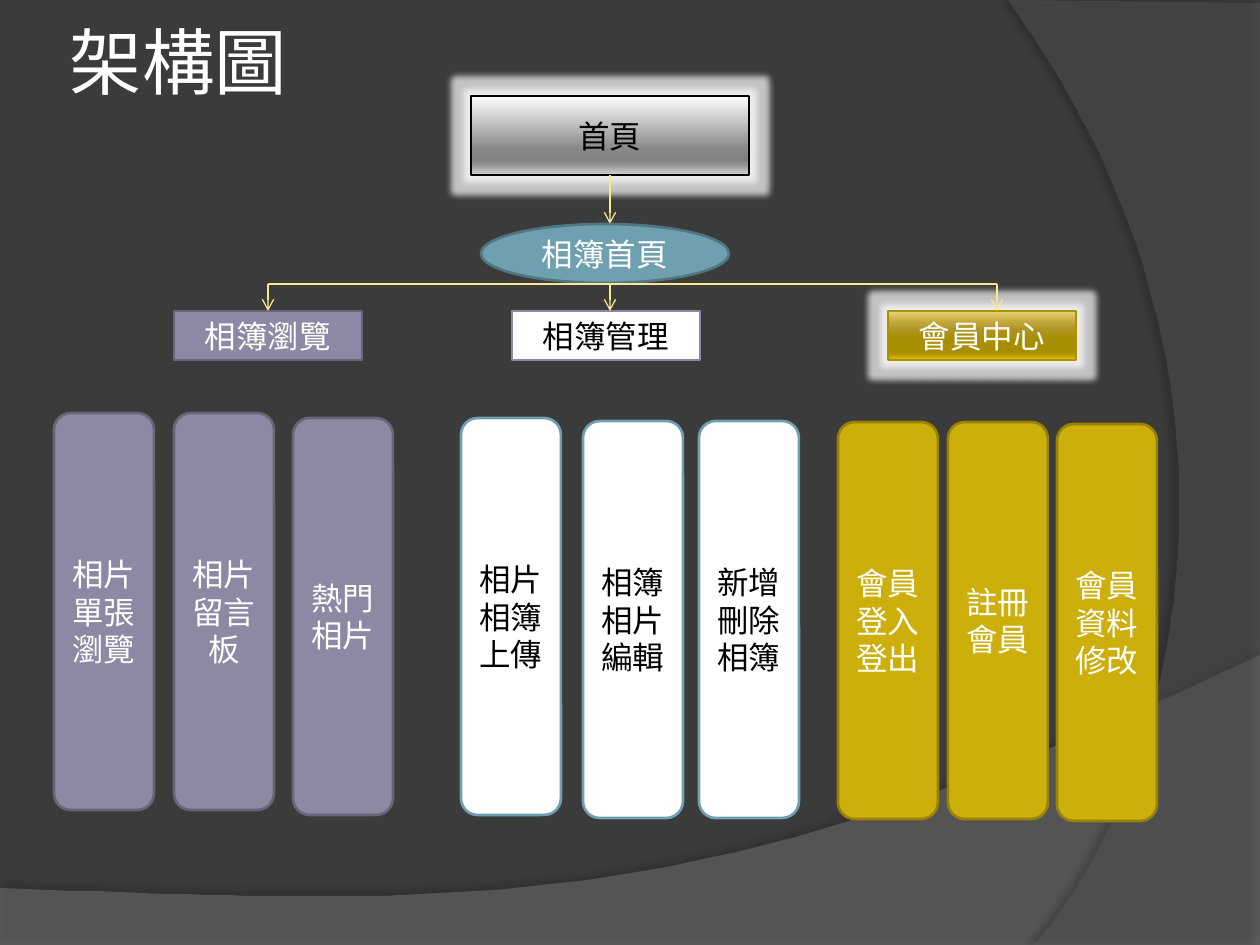
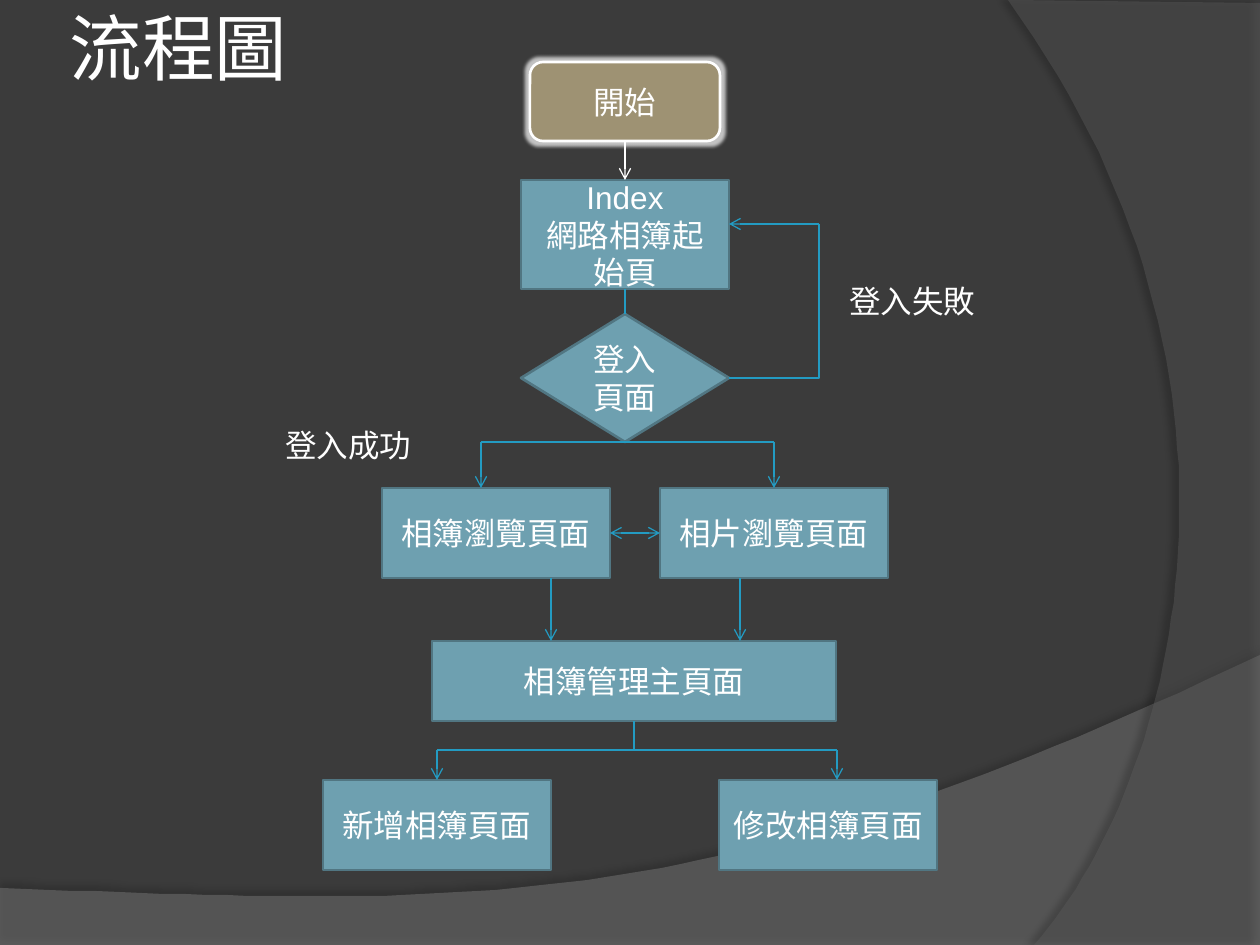
import pptx
import pptx.util
import pptx.dml.color
import pptx.enum.shapes
import pptx.enum.text
import pptx.oxml
import pptx.oxml.ns

RGB = pptx.dml.color.RGBColor
SHAPE = pptx.enum.shapes.MSO_SHAPE
CONNECTOR = pptx.enum.shapes.MSO_CONNECTOR
ALIGN = pptx.enum.text.PP_ALIGN
ANCHOR = pptx.enum.text.MSO_ANCHOR
qn = pptx.oxml.ns.qn
NS = pptx.oxml.ns.nsdecls("a")

PX = 914400 / 126  # EMU in one px

BACKGROUND = RGB(0x3B, 0x3B, 0x3B)
BAND = RGB(0x7F, 0x7F, 0x7F)
SIDE = RGB(0x5E, 0x5E, 0x5E)
WHITE = RGB(0xFF, 0xFF, 0xFF)
BLACK = RGB(0, 0, 0)
TEAL = RGB(0x6E, 0xA0, 0xB0)
TEAL_EDGE = RGB(0x51, 0x76, 0x82)
PURPLE = RGB(0x8D, 0x89, 0xA4)
PURPLE_EDGE = RGB(0x68, 0x65, 0x79)
GOLD = RGB(0xCC, 0xAF, 0x0A)
GOLD_EDGE = RGB(0x97, 0x81, 0x07)
GOLD_RIM = RGB(0xAB, 0x92, 0x00)
TAN = RGB(0x9E, 0x92, 0x73)
YELLOW = RGB(0xF9, 0xE9, 0x8E)
BLUE = RGB(0x23, 0x9B, 0xC2)

# Gradient stops: percent and colour
SILVER = [(0, "FEFEFE"), (68, "878787"), (81, "818181"), (86, "909090"),
          (100, "D3D3D3")]
GOLD_SHEEN = [(0, "EED27E"), (25, "BFA536"), (38, "AF9527"), (55, "A88F00"),
              (80, "A68D00"), (88, "AF9500"), (100, "E6C100")]


def add_text(s, text, box, kind=None, fill=None, edge=None, edge_pt=1.5,
             glow=0, color=WHITE, font="Arial", size=18):
    """Add text in a shape, in a text box (no kind) or in the title."""
    x, y, w, h = [round(v * PX) for v in box]
    if kind == "title":
        sp = s.shapes.title
        sp.left, sp.top, sp.width, sp.height = x, y, w, h
    elif kind is None:
        sp = s.shapes.add_textbox(x, y, w, h)
    else:
        sp = s.shapes.add_shape(kind, x, y, w, h)
        if isinstance(fill, list):
            sp.fill.gradient()
            sp.fill.gradient_angle = 270
            stops = sp.element.spPr.find(".//" + qn("a:gsLst"))
            stops.clear()
            for percent, tone in fill:
                stops.append(pptx.oxml.parse_xml(
                    f'<a:gs {NS} pos="{percent * 1000}">'
                    f'<a:srgbClr val="{tone}"/></a:gs>'))
        else:
            sp.fill.solid()
            sp.fill.fore_color.rgb = fill
        sp.line.color.rgb = edge
        sp.line.width = pptx.util.Pt(edge_pt)
        sp.shadow.inherit = False
        if glow:
            sp.element.spPr.find(qn("a:effectLst")).append(pptx.oxml.parse_xml(
                f'<a:glow {NS} rad="{round(glow * PX)}"><a:srgbClr val="{WHITE}">'
                '<a:alpha val="70000"/></a:srgbClr></a:glow>'))
    tf = sp.text_frame
    tf.word_wrap = True
    tf.vertical_anchor = ANCHOR.TOP if kind is None else ANCHOR.MIDDLE
    if kind == "title":
        tf.auto_size = pptx.enum.text.MSO_AUTO_SIZE.NONE
        tf.margin_left = tf.margin_right = round(6 * PX)
        tf.margin_top = tf.margin_bottom = round(6 * PX)
    tf.text = text
    for p in tf.paragraphs:
        p.alignment = ALIGN.LEFT if kind in (None, "title") else ALIGN.CENTER
        for r in p.runs:
            r.font.name = font
            r.font.size = pptx.util.Pt(size)
            r.font.color.rgb = color
    return sp


def add_line(s, start, end, color, arrows="", begin=None, finish=None, bent=False):
    """Add a connector; arrows names its ends, begin and finish are (shape, side)."""
    points = [round(v * PX) for v in (*start, *end)]
    c = s.shapes.add_connector(CONNECTOR.ELBOW if bent else CONNECTOR.STRAIGHT, *points)
    spPr = c.element.spPr
    if bent:
        spPr.find(qn("a:prstGeom")).set("prst", "bentConnector2")
    if begin:
        c.begin_connect(*begin)
    if finish:
        c.end_connect(*finish)
    c.line.color.rgb = color
    c.line.width = pptx.util.Pt(0.75)
    for tag in arrows.split():
        spPr.find(qn("a:ln")).append(pptx.oxml.parse_xml(
            f'<a:{tag} {NS} type="arrow"/>'))
    spPr.append(pptx.oxml.parse_xml(f"<a:effectLst {NS}/>"))


prs = pptx.Presentation()
prs.slide_width = round(1260 * PX)
prs.slide_height = round(945 * PX)
layout = prs.slide_layouts[5]
layout.background.fill.solid()
layout.background.fill.fore_color.rgb = BACKGROUND

# Slide 1: site structure
s = prs.slides.add_slide(layout)

# Curved bands, built here and moved to the shared layout:
# corners, curve points, colour, opacity, shadow opacity, distance, direction
bands = [
    ([(0, 888), (0, 946), (1260, 946)],
     [(1260, 655), (704, 919), (493, 906), (0, 888)], BAND, 45, 35, 3.5, 270),
    ([(1260, 3), (1260, 945)],
     [(1034, 945), (1178, 780), (1283, 378), (1008, 0)], SIDE, 40, 45, 4, 180),
]
for i, (corners, curve, color, opacity, dark, dist, angle) in enumerate(bands):
    arc = []
    for t in [n / 60 for n in range(61)]:
        weights = ((1 - t) ** 3, 3 * t * (1 - t) ** 2, 3 * t * t * (1 - t), t ** 3)
        arc.append([sum(k * pt[axis] for k, pt in zip(weights, curve))
                    for axis in (0, 1)])
    outline = s.shapes.build_freeform(*corners[0], scale=PX)
    outline.add_line_segments(corners[1:] + arc, close=True)
    sp = outline.convert_to_shape()
    sp.fill.solid()
    sp.fill.fore_color.rgb = color
    sp.element.spPr.find(".//" + qn("a:srgbClr")).append(pptx.oxml.parse_xml(
        f'<a:alpha {NS} val="{opacity * 1000}"/>'))
    sp.line.fill.background()
    sp.shadow.inherit = False
    sp.element.spPr.find(qn("a:effectLst")).append(pptx.oxml.parse_xml(
        f'<a:outerShdw {NS} blurRad="{pptx.util.Pt(4)}" dist="{pptx.util.Pt(dist)}" '
        f'dir="{angle * 60000}"><a:srgbClr val="{BLACK}">'
        f'<a:alpha val="{dark * 1000}"/></a:srgbClr></a:outerShdw>'))
    layout.shapes.element.insert(2 + i, sp.element)

add_text(s, "架構圖", (64, 16, 1029, 90), "title", font="Roboto", size=41.4)

# Home pages
home = add_text(s, "首頁", (471, 96, 278, 79), SHAPE.RECTANGLE, SILVER, BLACK, 0.75,
                glow=13, color=BLACK)
add_line(s, (610, 175), (610, 224), YELLOW, "tailEnd", begin=(home, 2))
add_text(s, "相簿首頁", (481, 224, 248, 59), SHAPE.OVAL, TEAL, TEAL_EDGE)

# Three sections
browse = add_text(s, "相簿瀏覽", (174, 311, 188, 49), SHAPE.RECTANGLE, PURPLE, PURPLE_EDGE)
add_text(s, "會員中心", (888, 311, 188, 49), SHAPE.RECTANGLE, GOLD_SHEEN, GOLD_RIM, 0.75,
         glow=13)
add_text(s, "相簿管理", (512, 311, 188, 49), SHAPE.RECTANGLE, WHITE, PURPLE, color=BLACK)

# Branches to the sections
add_line(s, (268, 284), (997, 284), YELLOW)
for x, finish in [(268, (browse, 0)), (610, None), (997, None)]:
    add_line(s, (x, 284), (x, 311), YELLOW, "tailEnd", finish=finish)

# Functions under each section
functions = [
    (PURPLE, PURPLE_EDGE, WHITE,
     [("相片單張瀏覽", 54, 413), ("相片留言板", 174, 413), ("熱門相片", 293, 418)]),
    (WHITE, TEAL, BLACK,
     [("相片相簿上傳", 461, 418), ("相簿相片編輯", 583, 421), ("新增刪除相簿", 699, 421)]),
    (GOLD, GOLD_EDGE, WHITE,
     [("會員登入登出", 838, 422), ("註冊會員", 948, 422), ("會員資料修改", 1057, 424)]),
]
for fill, edge, color, columns in functions:
    for text, x, y in columns:
        add_text(s, text, (x, y, 100, 397), SHAPE.ROUNDED_RECTANGLE, fill, edge,
                 color=color)

# Slide 2: login and page flow
s = prs.slides.add_slide(layout)
add_text(s, "流程圖", (64, 3, 1029, 87), "title", font="Roboto", size=41.4)

start = add_text(s, "開始", (530, 62, 190, 79), SHAPE.ROUNDED_RECTANGLE, TAN, WHITE, glow=7)

# Teal steps
steps = {}
for text, box, kind in [
    ("Index\n網路相簿起始頁", (521, 180, 208, 109), SHAPE.RECTANGLE),
    ("登入頁面", (521, 314, 208, 128), SHAPE.FLOWCHART_DECISION),
    ("相簿瀏覽頁面", (382, 488, 228, 90), SHAPE.RECTANGLE),
    ("相片瀏覽頁面", (660, 488, 228, 90), SHAPE.RECTANGLE),
    ("相簿管理主頁面", (432, 641, 404, 80), SHAPE.RECTANGLE),
    ("新增相簿頁面", (323, 780, 228, 90), SHAPE.RECTANGLE),
    ("修改相簿頁面", (719, 780, 218, 90), SHAPE.RECTANGLE),
]:
    steps[text] = add_text(s, text, box, kind, TEAL, TEAL_EDGE)
index, login, albums, photos, manage, new_album, edit_album = steps.values()

# Start and login
add_line(s, (625, 141), (625, 180), WHITE, "tailEnd", (start, 2), (index, 0))
add_line(s, (625, 289), (625, 314), BLUE, begin=(index, 2), finish=(login, 0))
add_line(s, (729, 378), (819, 224), BLUE, bent=True)
add_line(s, (819, 224), (729, 224), BLUE, "tailEnd")
add_text(s, "登入失敗", (837, 276, 169, 50))
add_text(s, "登入成功", (273, 420, 179, 50))

# Browsing pages
add_line(s, (481, 442), (774, 442), BLUE)
for x in (481, 774):
    add_line(s, (x, 442), (x, 488), BLUE, "tailEnd")
add_line(s, (610, 533), (660, 533), BLUE, "headEnd tailEnd", (albums, 3), (photos, 1))

# Management pages
for x in (551, 740):
    add_line(s, (x, 578), (x, 641), BLUE, "tailEnd")
add_line(s, (634, 721), (634, 750), BLUE, begin=(manage, 2))
add_line(s, (437, 750), (837, 750), BLUE)
for x, finish in [(437, (new_album, 0)), (837, None)]:
    add_line(s, (x, 750), (x, 780), BLUE, "tailEnd", finish=finish)

prs.save("out.pptx")
